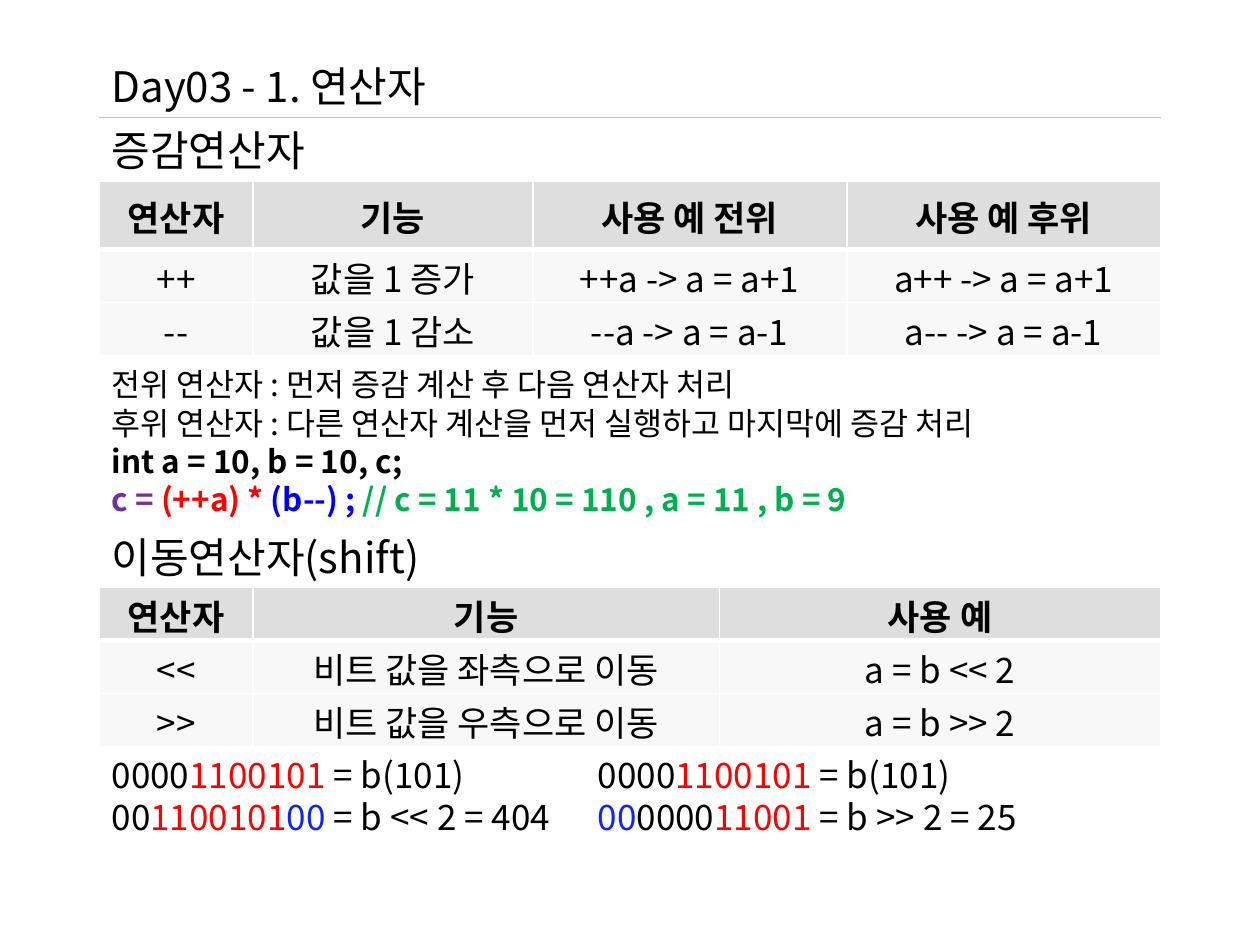
from lxml import etree
from pptx import Presentation
from pptx.dml.color import RGBColor
from pptx.enum.shapes import MSO_CONNECTOR
from pptx.enum.text import MSO_ANCHOR, PP_ALIGN
from pptx.oxml.ns import qn
from pptx.util import Cm, Pt

STRAIGHT = MSO_CONNECTOR.STRAIGHT
MIDDLE = MSO_ANCHOR.MIDDLE
CENTER = PP_ALIGN.CENTER

COLORS = {
    "black": "000000", "white": "FFFFFF", "gray": "BFBFBF", "light": "F2F2F2",
    "red": "FF0000", "blue": "0000FF", "shift": "0F25F5",
    "purple": "7030A0", "green": "00B050",
}
FONT = "Noto Sans CJK KR"
LEFT, WIDTH = 2, 21.4
ROW = 1.07
LINE_PITCH = 1.21


class Deck:
    def __init__(self, prs):
        self.s = prs.slides.add_slide(prs.slide_layouts[6])

    def add_runs(self, p, runs, size, bold=False):
        """Fill a paragraph with (text, colour name) runs."""
        for text, color in runs:
            r = p.add_run()
            r.text = text
            style = {"name": FONT, "size": Pt(size), "bold": bold}
            for key, value in style.items():
                setattr(r.font, key, value)
            r.font.color.rgb = RGBColor.from_string(COLORS[color])
            ea = etree.SubElement(r.font._element, qn("a:ea"))
            ea.set("typeface", FONT)

    def text(self, x, y, w, h, paragraphs):
        """Add a box of (runs, size, bold, space before) paragraphs."""
        tf = self.s.shapes.add_textbox(Cm(x), Cm(y), Cm(w), Cm(h)).text_frame
        tf.word_wrap = True
        for i, (runs, size, bold, before) in enumerate(paragraphs):
            p = tf.add_paragraph() if i else tf.paragraphs[0]
            p.line_spacing = Pt(round(size * LINE_PITCH, 1))
            if before:
                p.space_before = Pt(before)
            self.add_runs(p, runs, size, bold)

    def heading(self, y, text):
        self.text(LEFT, y, WIDTH, 1.28, [([(text, "black")], 24, False, 0)])

    def rule(self, y):
        c = self.s.shapes.add_connector(
            STRAIGHT, Cm(LEFT), Cm(y), Cm(LEFT + WIDTH), Cm(y))
        c.line.width = Pt(0.75)
        c.line.color.rgb = RGBColor.from_string(COLORS["gray"])
        etree.SubElement(c._element.spPr, qn("a:effectLst"))

    def borders(self, cell, top, bottom):
        tcPr = cell._tc.get_or_add_tcPr()
        for side, width in {"L": 1, "R": 1, "T": top, "B": bottom}.items():
            ln = etree.SubElement(tcPr, qn(f"a:ln{side}"), w=str(Pt(width)))
            fill = etree.SubElement(ln, qn("a:solidFill"))
            etree.SubElement(fill, qn("a:srgbClr"), val=COLORS["white"])

    def fill(self, cell, color):
        """Give a cell a half-transparent fill."""
        cell.fill.solid()
        cell.fill.fore_color.rgb = RGBColor.from_string(COLORS[color])
        clr = cell._tc.tcPr.find(qn("a:solidFill")).find(qn("a:srgbClr"))
        etree.SubElement(clr, qn("a:alpha"), val="50000")

    def table(self, y, widths, header_height, rows):
        heights = [header_height] + [ROW] * (len(rows) - 1)
        t = self.s.shapes.add_table(
            len(rows), len(widths), Cm(LEFT), Cm(y),
            Cm(sum(widths)), Cm(sum(heights))).table
        for col, width in zip(t.columns, widths):
            col.width = Cm(width)
        for i, (row, height) in enumerate(zip(rows, heights)):
            t.rows[i].height = Cm(height)
            for j, text in enumerate(row):
                cell = t.cell(i, j)
                layout = {"vertical_anchor": MIDDLE,
                          "margin_top": Cm(0.25), "margin_bottom": Cm(0)}
                for key, value in layout.items():
                    setattr(cell, key, value)
                self.borders(cell, 3 if i == 1 else 1, 3 if i == 0 else 1)
                self.fill(cell, "light" if i else "gray")
                p = cell.text_frame.paragraphs[0]
                p.alignment = CENTER
                p.line_spacing = Pt(23)
                self.add_runs(p, [(text, "black")], 20, i == 0)


def main():
    prs = Presentation()
    prs.slide_width, prs.slide_height = Cm(25.4), Cm(19.05)
    deck = Deck(prs)

    deck.heading(1.09, "Day03 - 1. 연산자")
    deck.rule(2.37)

    table_gap = 5 * 18 * LINE_PITCH
    deck.text(LEFT, 2.37, WIDTH, 8.2, [
        ([("증감연산자", "black")], 24, False, 0),
        ([("전위 연산자 : 먼저 증감 계산 후 다음 연산자 처리", "black")],
         18, False, table_gap),
        ([("후위 연산자 : 다른 연산자 계산을 먼저 실행하고 마지막에 증감 처리",
           "black")], 18, False, 0),
        ([("int a = 10, b = 10, c;", "black")], 18, True, 0),
        ([("c = ", "purple"), ("(++a) * ", "red"), ("(b--) ;", "blue"),
          (" // c = 11 * 10 = 110 , a = 11 , b = 9", "green")], 18, True, 0),
    ])
    deck.heading(10.58, "이동연산자(shift)")

    source_bits = [("0000", "black"), ("1100101", "red"), (" = b(101)", "black")]
    right_shift = [("00", "shift"), ("0000", "black"), ("11001", "red"),
                   (" = b >> 2 = 25", "black")]
    left_shift = [("00", "black"), ("1100101", "red"), ("00", "shift"),
                  (" = b << 2 = 404", "black")]
    for x, w, shifted in ((11.8, 11.6, right_shift), (LEFT, 12.7, left_shift)):
        deck.text(x, 15.06, w, 1.96,
                  [(runs, 20, False, 0) for runs in (source_bits, shifted)])

    deck.table(3.66, [3.1, 5.64, 6.33, 6.33], 1.37, [
        ["연산자", "기능", "사용 예 전위", "사용 예 후위"],
        ["++", "값을 1 증가", "++a -> a = a+1", "a++ -> a = a+1"],
        ["--", "값을 1 감소", "--a -> a = a-1", "a-- -> a = a-1"],
    ])
    deck.table(11.84, [3.1, 9.4, 8.9], ROW, [
        ["연산자", "기능", "사용 예"],
        ["<<", "비트 값을 좌측으로 이동", "a = b << 2"],
        [">>", "비트 값을 우측으로 이동", "a = b >> 2"],
    ])
    prs.save("out.pptx")


if __name__ == "__main__":
    main()
